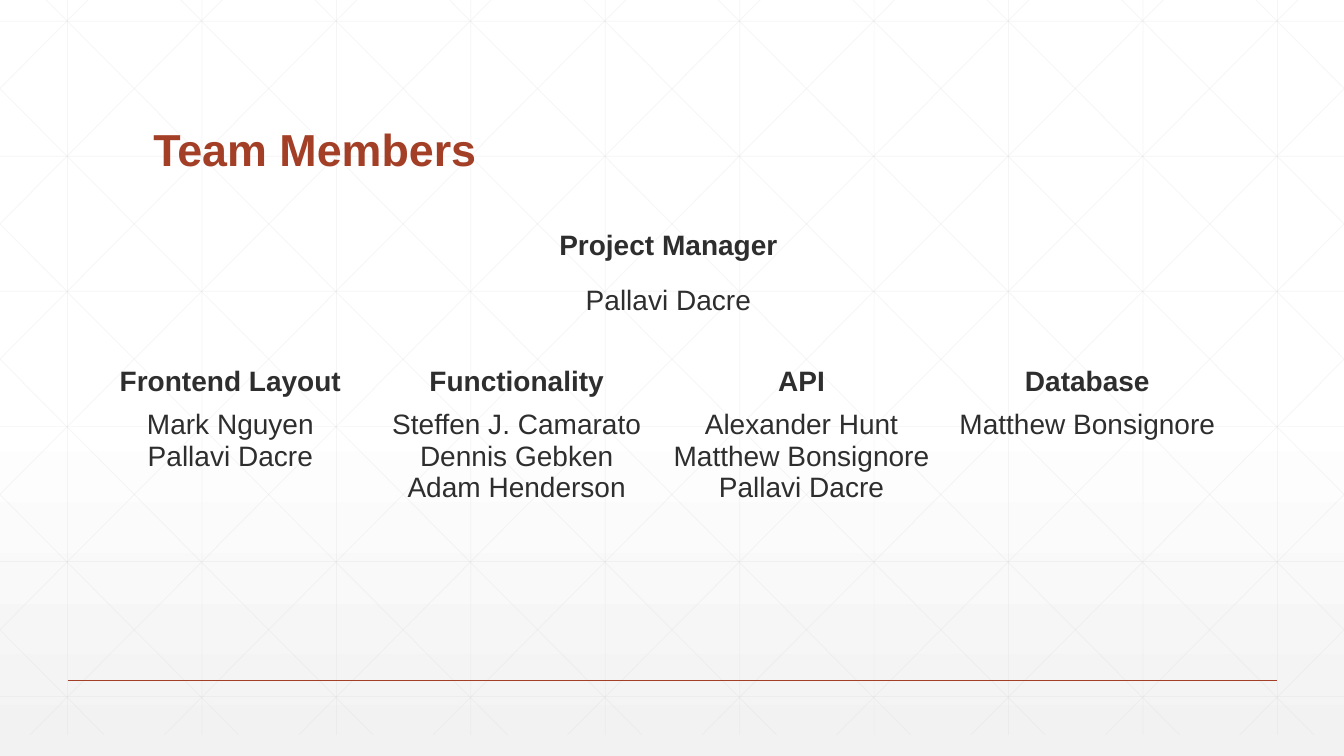
from lxml.etree import SubElement
from pptx import Presentation
from pptx.dml.color import RGBColor
from pptx.enum.shapes import MSO_CONNECTOR as Connector
from pptx.enum.text import MSO_ANCHOR as Anchor, PP_ALIGN as Align
from pptx.oxml.ns import qn
from pptx.util import Inches, Pt

WIDTH, HEIGHT = 13.33, 7.5
RUST, INK, GRID = "A43F27", "2D2E2D", "D9D9D9"
PLAIN_TABLE = "{2D5ABB26-0587-4C30-8999-92F81FD0307C}"
ROLES = [
    ("Functionality", ["Steffen J. Camarato", "Dennis Gebken", "Adam Henderson"]),
    ("API", ["Alexander Hunt", "Matthew Bonsignore", "Pallavi Dacre"]),
    ("Database", ["Matthew Bonsignore"]),
]
FRONTEND = [("Frontend Layout", ["Mark Nguyen", "Pallavi Dacre"])]


def color(value):
    """Return the colour for a hex string."""
    return RGBColor.from_string(value)


def write(para, text, size=20, ink=INK, bold=False, align=Align.CENTER, spacing=None, before=0):
    """Put formatted text into a paragraph."""
    para.alignment = align
    para.line_spacing = spacing
    para.space_before = Pt(before)
    span = para.add_run()
    span.text = text
    span.font.name = "Arial"
    span.font.size = Pt(size)
    span.font.bold = bold
    span.font.color.rgb = color(ink)


def add_line(shapes, start, end, ink, weight, opacity=None):
    """Draw a straight line between two points in inches."""
    line = shapes.add_connector(Connector.STRAIGHT, *map(Inches, start + end))
    line.line.color.rgb = color(ink)
    line.line.width = Pt(weight)
    properties = line.element.spPr
    if opacity is not None:
        fill = properties.find(".//" + qn("a:srgbClr"))
        SubElement(fill, qn("a:alpha"), val=str(opacity * 1000))
    SubElement(properties, qn("a:effectLst"))


def grid_lines(left, top, width, height):
    """Yield the ends of the upright, level and slanted grid lines."""
    step, right, bottom = 4 / 3, left + width, top + height
    for column in range(10):
        x = left + 0.67 + column * step
        yield (x, top), (x, bottom)
    for row in range(6):
        y = top + 0.42 + row * 1.34
        yield (left, y), (right, y)
    slope = height / 7.45
    for index in range(-5, 10):
        x = left + 0.25 + index * step
        first, last = max(x, left), min(x + 7.45, right)
        upper, lower = (top + (end - x) * slope for end in (first, last))
        yield (first, upper), (last, lower)
        yield (left + right - first, upper), (left + right - last, lower)


def add_backdrop(page, left, top, width, height):
    """Shade the page and lay the faint grid behind its content."""
    fill = page.background.fill
    fill.gradient()
    fill.gradient_angle = 270
    for stop, position, tint in zip(fill.gradient_stops, (0.53, 1), ("FFFFFF", "F2F2F2")):
        stop.position = position
        stop.color.rgb = color(tint)
    grid = page.shapes.add_group_shape()
    for start, end in grid_lines(left, top, width, height):
        add_line(grid.shapes, start, end, GRID, 0.5, opacity=25)
    page.shapes.element.insert(2, grid.element)


def add_title(page, left, top, width, height):
    """Place and format the slide title."""
    title = page.shapes.title
    title.left, title.top, title.width, title.height = map(Inches, (left, top, width, height))
    title.text_frame.vertical_anchor = Anchor.BOTTOM
    title.text_frame.word_wrap = True
    write(title.text_frame.paragraphs[0], "Team Members", size=32, ink=RUST, bold=True,
          align=Align.LEFT, spacing=0.9)


def add_manager(page, left, top, width, height):
    """Name the project manager above the teams."""
    box = page.shapes.add_textbox(*map(Inches, (left, top, width, height)))
    frame = box.text_frame
    frame.word_wrap = True
    frame.margin_top = Inches(0.64)
    frame.margin_right = Inches(0.6)
    write(frame.paragraphs[0], "Project Manager", bold=True, spacing=0.9)
    write(frame.add_paragraph(), "Pallavi Dacre", spacing=0.9, before=18)


def fill_cell(cell, lines, bold):
    """Write one paragraph per line into a clear cell."""
    cell.fill.background()
    cell.vertical_anchor = Anchor.TOP
    frame = cell.text_frame
    for index, text in enumerate(lines):
        para = frame.add_paragraph() if index else frame.paragraphs[0]
        write(para, text, bold=bold)


def add_teams(page, teams, left, top, widths, height):
    """Build a table with a role above its members in each column."""
    frame = page.shapes.add_table(
        2, len(teams), *map(Inches, (left, top, sum(widths), height)))
    table = frame.table
    table.first_row = table.horz_banding = False
    frame.element.find(".//" + qn("a:tableStyleId")).text = PLAIN_TABLE
    for row, size in zip(table.rows, (0.41, height - 0.41)):
        row.height = Inches(size)
    for index, (role, members) in enumerate(teams):
        table.columns[index].width = Inches(widths[index])
        fill_cell(table.cell(0, index), [role], bold=True)
        fill_cell(table.cell(1, index), members, bold=False)


def main():
    """Build the team slide and save it."""
    deck = Presentation()
    deck.slide_width, deck.slide_height = Inches(WIDTH), Inches(HEIGHT)
    page = deck.slides.add_slide(deck.slide_layouts[5])
    add_backdrop(page, 0, -0.21, WIDTH, HEIGHT)
    add_line(page.shapes, (0.67, 6.75), (12.67, 6.75), RUST, 1)
    add_title(page, 1.42, 0.55, 10.5, 1.25)
    add_manager(page, 2.84, 1.65, 8.08, 4.82)
    add_teams(page, ROLES, 3.71, 3.58, (2.83, 2.82, 2.85), 1.87)
    add_teams(page, FRONTEND, 0.87, 3.58, (2.83,), 1.53)
    deck.save("out.pptx")


if __name__ == "__main__":
    main()
